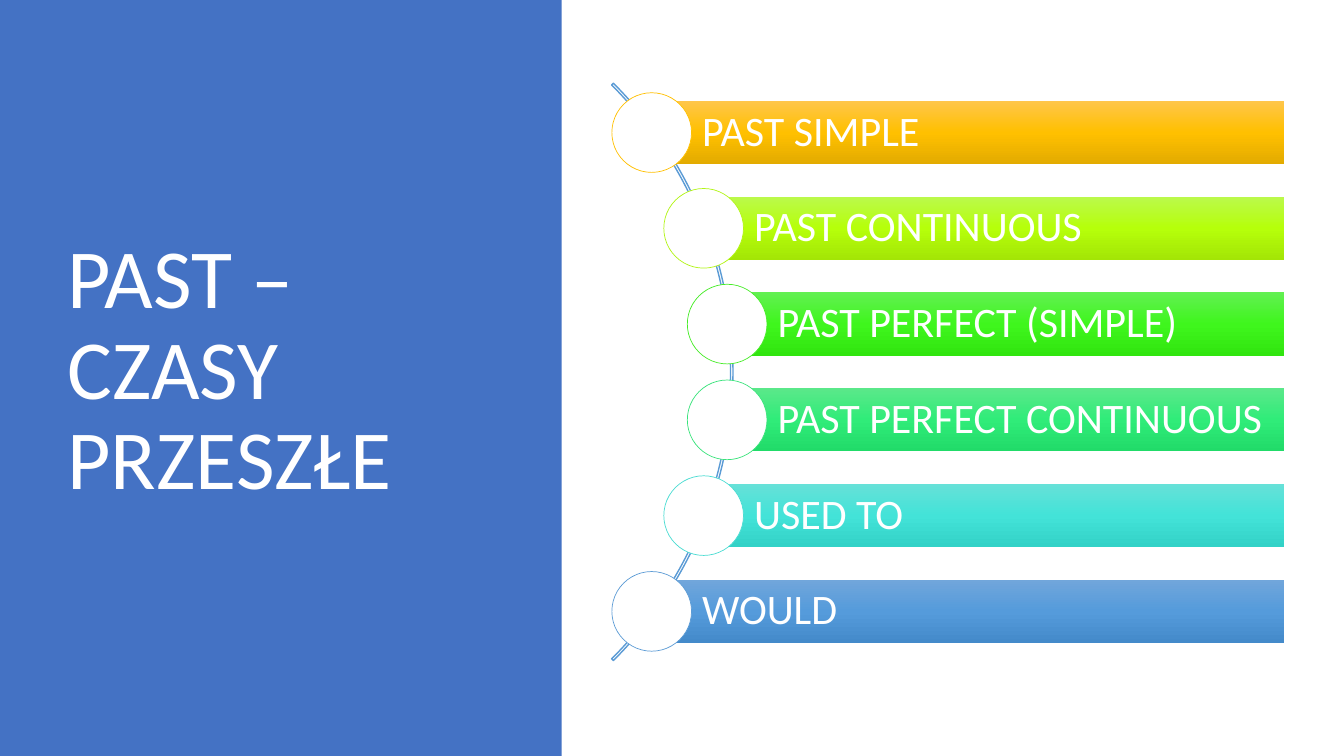
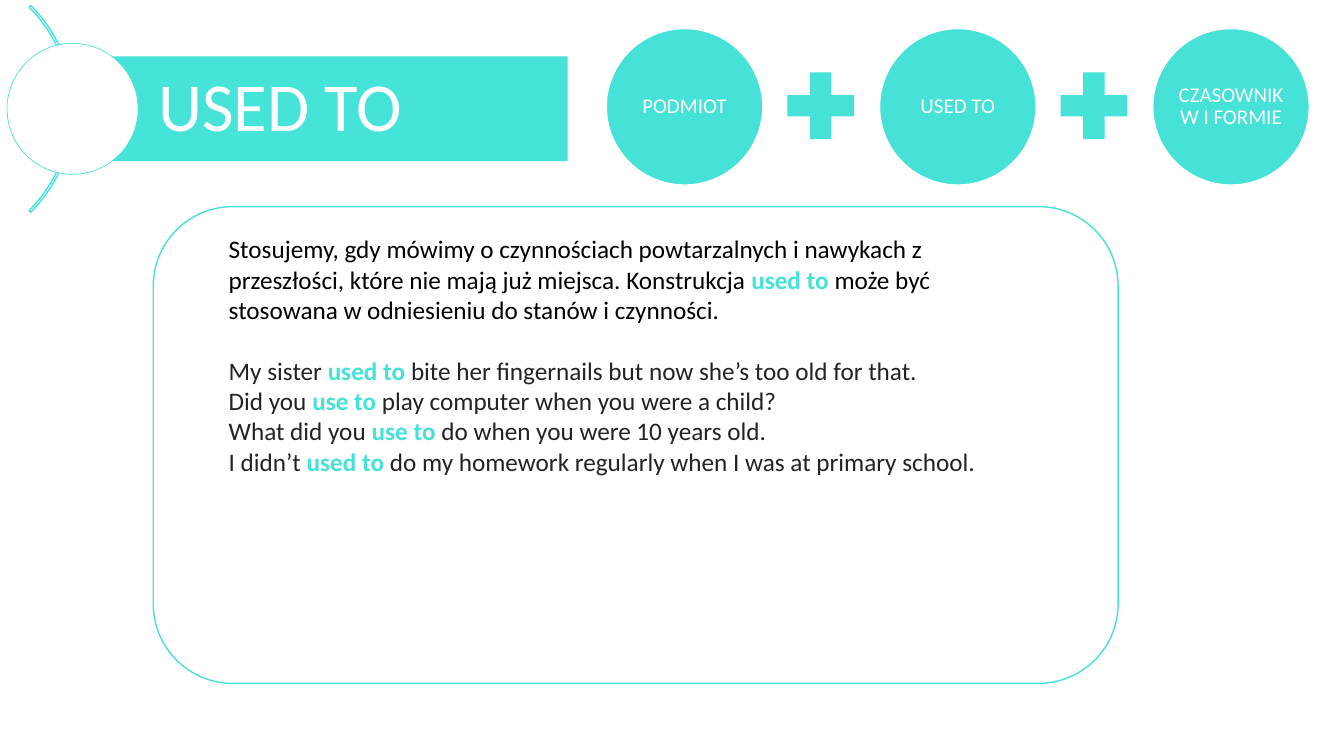
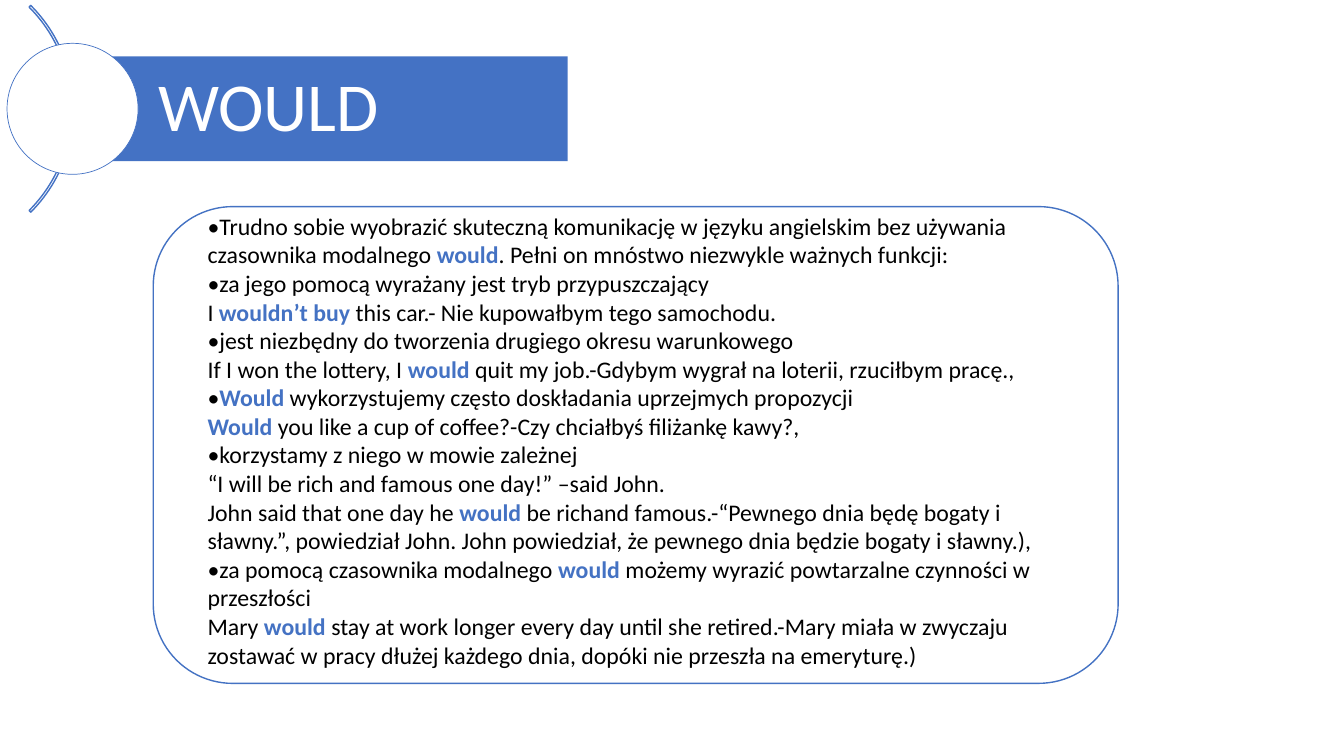
"""Build three slides on English past tenses."""
from copy import deepcopy
from math import sqrt

from lxml import etree
from pptx import Presentation
from pptx.dml.color import RGBColor
from pptx.enum.shapes import MSO_SHAPE
from pptx.enum.text import MSO_ANCHOR, MSO_AUTO_SIZE, PP_ALIGN
from pptx.oxml.ns import qn
from pptx.util import Inches, Pt

RECT, OVAL, ARC = MSO_SHAPE.RECTANGLE, MSO_SHAPE.OVAL, MSO_SHAPE.BLOCK_ARC
ROUND, PLUS = MSO_SHAPE.ROUNDED_RECTANGLE, MSO_SHAPE.MATH_PLUS
TOP, MIDDLE = MSO_ANCHOR.TOP, MSO_ANCHOR.MIDDLE
LEFT, CENTER = PP_ALIGN.LEFT, PP_ALIGN.CENTER

FONT, WHITE, BLACK, INK = "Calibri", "FFFFFF", "000000", "232323"
BLUE, BLUE_TEXT = "4472C4", "4472C3"
TEAL, TEAL_TEXT = "46E3D8", "46E1D7"
SKY = "5B9BD5"

TITLE = "PAST – CZASY PRZESZŁE"
TENSES = [
    ("PAST SIMPLE", ("FFC64B", "FFC000", "E3AB00"), "FFC000"),
    ("PAST CONTINUOUS", ("BBF94D", "B6FF0A", "A3E506"), "B2F514"),
    ("PAST PERFECT (SIMPLE)", ("62F052", "3FF61D", "31E50F"), "46EC27"),
    ("PAST PERFECT CONTINUOUS", ("5BE88A", "30EC79", "21DB69"), "39E37B"),
    ("USED TO", ("66E1D8", "43E3D8", "33D2C7"), "4ADCD2"),
    ("WOULD", ("71A6DB", "559BDB", "448ACA"), SKY),
]
FORMULA = ["PODMIOT", "USED TO", "CZASOWNIK W I FORMIE"]
USED_TO_RULE = [
    "Stosujemy, gdy mówimy o czynnościach powtarzalnych i nawykach z przeszłości, "
    "które nie mają już miejsca. Konstrukcja *used to *może być stosowana w "
    "odniesieniu do stanów i czynności.",
]
USED_TO_EXAMPLES = [
    "My sister *used to *bite her fingernails\u00a0but now she’s too old for that.",
    "Did you *use to *play computer when you were a child?",
    "What did you *use to *do when you were 10 years old.",
    "I didn’t *used to *do my homework regularly when I was at primary school.",
]
WOULD_USES = [
    "•Trudno sobie wyobrazić skuteczną komunikację w języku angielskim bez używania "
    "czasownika modalnego *would*. Pełni on mnóstwo niezwykle ważnych funkcji:",
    "•za jego pomocą wyrażany jest tryb przypuszczający\n"
    "I *wouldn’t buy *this car.- Nie kupowałbym tego samochodu.",
    "•jest niezbędny do tworzenia drugiego okresu warunkowego\n"
    "If I won the lottery, I *would *quit my job.-Gdybym wygrał na loterii, "
    "rzuciłbym pracę.,",
    "•*Would* wykorzystujemy często doskładania uprzejmych propozycji\n"
    "*Would *you like a cup of coffee?-Czy chciałbyś filiżankę kawy?,",
    "•korzystamy z niego w mowie zależnej\n"
    "“I will be rich and famous one day!” –said John. \n"
    "John said that one day he *would* be richand famous.-“Pewnego dnia będę bogaty "
    "i sławny.”, powiedział John. John powiedział, że pewnego dnia będzie bogaty "
    "i sławny.),",
    "•za pomocą czasownika modalnego *would* możemy wyrazić powtarzalne czynności "
    "w przeszłości \nMary *would *stay at work longer every day until she retired."
    "-Mary miała w zwyczaju zostawać w pracy dłużej każdego dnia, dopóki nie "
    "przeszła na emeryturę.)",
]


def rgb(value):
    """Turn a hex string into a colour."""
    return RGBColor.from_string(value)


def paint(sp, fill=None, line=None, width=1):
    """Set the fill and outline of a shape."""
    if fill:
        sp.fill.solid()
        sp.fill.fore_color.rgb = rgb(fill)
    else:
        sp.fill.background()
    if line:
        sp.line.color.rgb = rgb(line)
        sp.line.width = Pt(width)
    else:
        sp.line.fill.background()


def shape(slide, kind, box, fill=None, line=None, width=1, adj=()):
    """Add a flat preset shape."""
    sp = slide.shapes.add_shape(kind, *map(Inches, box))
    sp.shadow.inherit = False
    paint(sp, fill, line, width)
    for i, value in enumerate(adj):
        sp.adjustments[i] = value
    return sp


def shade(sp, colors):
    """Fill a shape with a three-stop gradient running downwards."""
    sp.fill.gradient()
    sp.fill.gradient_angle = 270
    stops = sp._element.spPr.find(".//" + qn("a:gsLst"))
    stops.append(deepcopy(stops[1]))
    for stop, color, pos in zip(sp.fill.gradient_stops, colors, (0, 0.5, 1)):
        stop.color.rgb = rgb(color)
        stop.position = pos


def frame(sp, insets, anchor=MIDDLE):
    """Set up a text frame and return it."""
    tf = sp.text_frame
    sides = ("margin_left", "margin_top", "margin_right", "margin_bottom")
    values = dict(zip(sides, map(Inches, insets)))
    values.update(word_wrap=True, auto_size=MSO_AUTO_SIZE.NONE, vertical_anchor=anchor)
    for name, value in values.items():
        setattr(tf, name, value)
    return tf


def write(p, text, size, color=WHITE, accent=None, align=LEFT, spacing=0.9):
    """Write one paragraph, with starred parts bold in the accent colour."""
    p.alignment, p.line_spacing = align, spacing
    for i, part in enumerate(text.split("*")):
        strong = i % 2 == 1
        for j, piece in enumerate(part.split("\n")):
            if j:
                p.add_line_break()
            if piece:
                r = p.add_run()
                r.text = piece
                look = {"name": FONT, "size": Pt(size), "bold": strong}
                for name, value in look.items():
                    setattr(r.font, name, value)
                r.font.color.rgb = rgb(accent if strong else color)
    for br in p._p.findall(qn("a:br")):
        etree.SubElement(br, qn("a:rPr"), sz=str(size * 100))


def label(sp, text, size, insets, align=LEFT):
    """Write one white label inside a shape."""
    write(frame(sp, insets).paragraphs[0], text, size, align=align)


def place_title(slide, box, text, size, insets, fill=None):
    """Move the title to the front and format it."""
    sp = slide.shapes.title
    sp.left, sp.top, sp.width, sp.height = map(Inches, box)
    paint(sp, fill)
    label(sp, text, size, insets)
    slide.shapes._spTree.append(sp._element)


def topic_slide(prs, text, color, border):
    """Add a slide with the topic banner and the rounded frame."""
    slide = prs.slides.add_slide(prs.slide_layouts[5])
    shape(slide, ARC, (-2.17, -0.37, 2.9, 2.9), line=color, adj=(189, 27, 0.008))
    place_title(slide, (0.72, 0.56, 4.91, 1.04), text, 49, (0.85, 0.14, 0.14, 0.14), color)
    shape(slide, OVAL, (0.07, 0.43, 1.3, 1.3), WHITE, color, 0.5)
    shape(slide, ROUND, (1.52, 2.05, 9.57, 4.73), line=border)
    return slide


def body(slide, box, groups, size, accent):
    """Add a text box of coloured paragraph groups set one line apart."""
    sp = slide.shapes.add_textbox(*map(Inches, box))
    tf = frame(sp, (0.1, 0.05, 0.1, 0.05), TOP)
    p = tf.paragraphs[0]
    for g, (color, lines) in enumerate(groups):
        for i, text in enumerate(lines):
            if g or i:
                p = tf.add_paragraph()
            if g and not i:
                p.space_before = Pt(22)
            write(p, text, size, color, accent, spacing=1.0)


def tenses_slide(prs):
    """Add the overview with bars set along an arc."""
    slide = prs.slides.add_slide(prs.slide_layouts[5])
    shape(slide, RECT, (0, 0, 5.57, 7.5), BLUE)
    place_title(slide, (0.57, 0.68, 4.16, 6.02), TITLE, 60, (0.1, 0.05, 0.1, 0.05))
    shape(slide, ARC, (-0.83, -0.36, 8.1, 8.1), line=SKY, adj=(189, 27, 0.003))
    center_x, radius, right = 3.22, 4.02, 12.74
    first, pitch, bar, dot = 1, 0.95, 0.63, 0.79
    for i, (text, colors, line) in enumerate(TENSES):
        top = first + pitch * i
        rise = pitch * (i - (len(TENSES) - 1) / 2)
        left = center_x + sqrt(radius ** 2 - rise ** 2)
        sp = shape(slide, RECT, (left, top, right - left, bar))
        shade(sp, colors)
        label(sp, text, 30, (0.5, 0.08, 0.08, 0.08))
        shape(slide, OVAL, (left - dot / 2, top + (bar - dot) / 2, dot, dot), WHITE, line, 0.5)


def used_to_slide(prs):
    """Add the slide on used to with its formula."""
    slide = topic_slide(prs, "USED TO", TEAL, TEAL_TEXT)
    for i, text in enumerate(FORMULA):
        left = 6.01 + 2.71 * i
        if i:
            shape(slide, PLUS, (left - 1.03, 0.6, 0.9, 0.9), TEAL_TEXT)
        sp = shape(slide, OVAL, (left, 0.28, 1.56, 1.56), TEAL_TEXT, WHITE, 1.5)
        label(sp, text, 15, (0.02,) * 4, CENTER)
    groups = [(BLACK, USED_TO_RULE), (INK, USED_TO_EXAMPLES)]
    body(slide, (2.17, 2.27, 8.23, 2.52), groups, 18, TEAL_TEXT)


def would_slide(prs):
    """Add the slide on would."""
    slide = topic_slide(prs, "WOULD", BLUE, BLUE_TEXT)
    body(slide, (1.96, 2.05, 8.38, 4.68), [(BLACK, WOULD_USES)], 17, BLUE_TEXT)


prs = Presentation()
prs.slide_width, prs.slide_height = Inches(13.33), Inches(7.5)
tenses_slide(prs)
used_to_slide(prs)
would_slide(prs)
prs.save("out.pptx")
